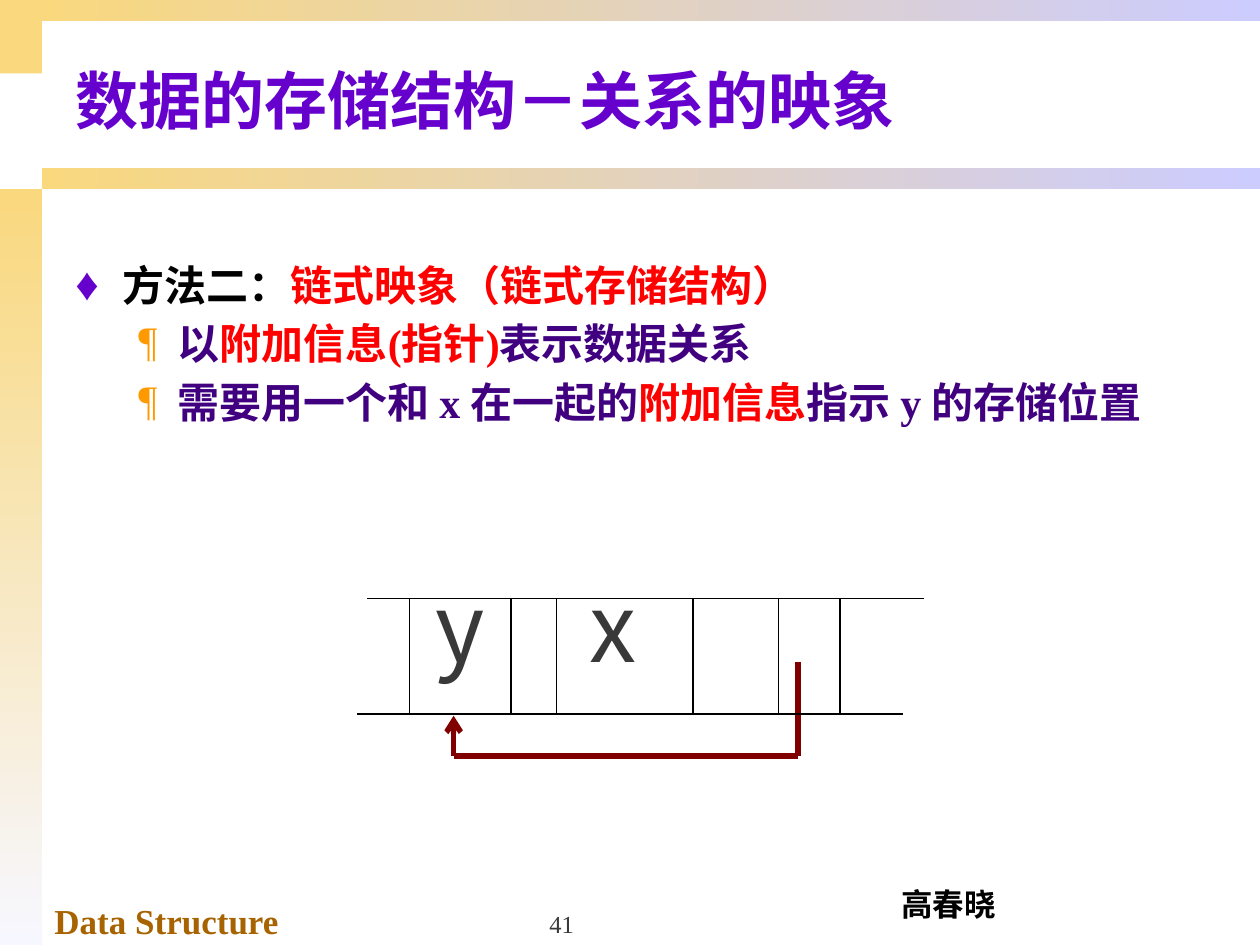
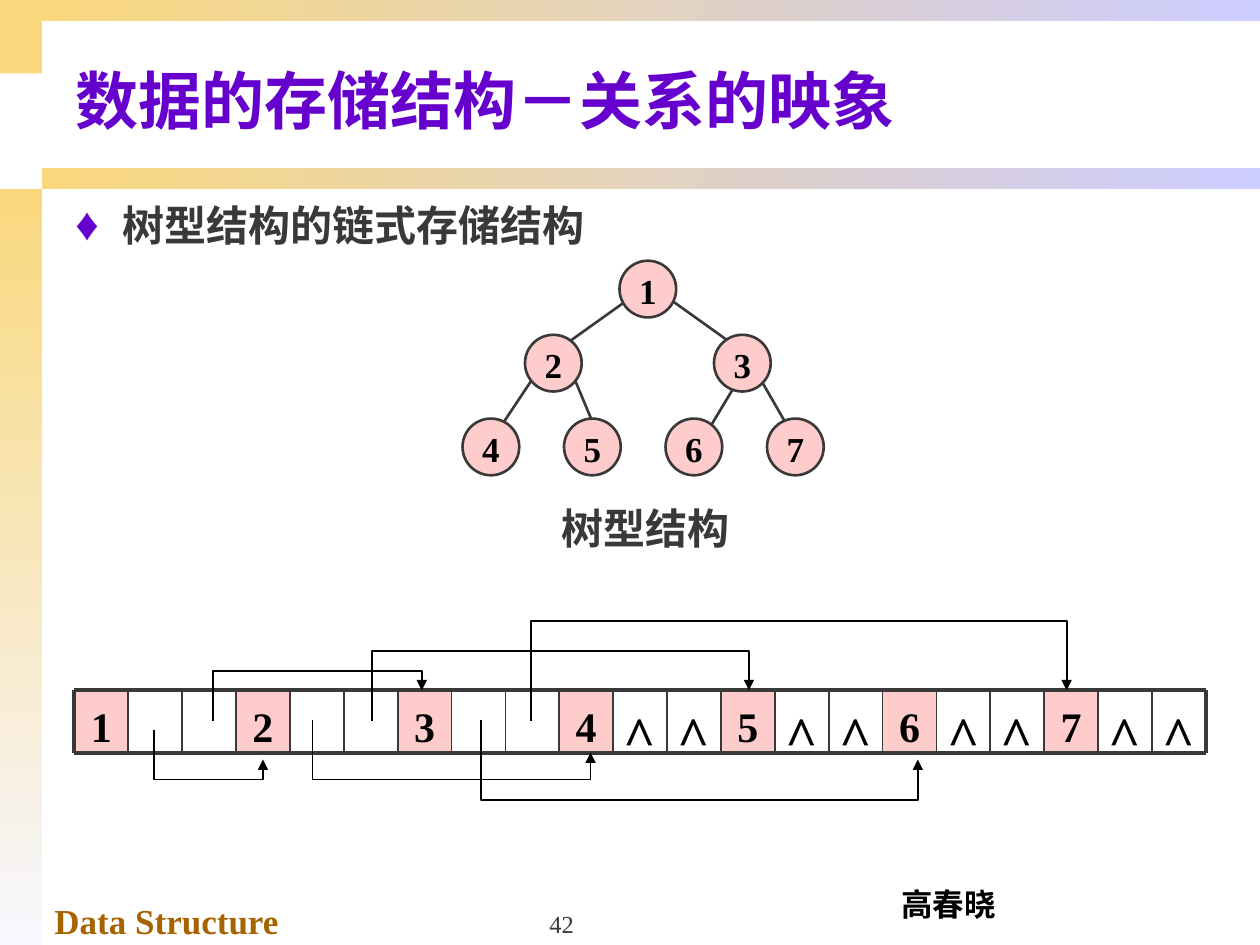
from lxml import etree
from pptx import Presentation
from pptx.dml.color import RGBColor
from pptx.enum.shapes import MSO_CONNECTOR, MSO_SHAPE
from pptx.enum.text import MSO_ANCHOR, PP_ALIGN
from pptx.oxml.ns import qn
from pptx.util import Pt

STRAIGHT = MSO_CONNECTOR.STRAIGHT
RECTANGLE, OVAL = MSO_SHAPE.RECTANGLE, MSO_SHAPE.OVAL
TOP, MIDDLE, BOTTOM = MSO_ANCHOR.TOP, MSO_ANCHOR.MIDDLE, MSO_ANCHOR.BOTTOM
LEFT, CENTER = PP_ALIGN.LEFT, PP_ALIGN.CENTER

LATIN, CHINESE = "Times New Roman", "Noto Sans CJK SC"
TITLE = "数据的存储结构－关系的映象"
COLORS = {
    "gold": "F9D87E", "pale": "F7F7FF", "lavender": "CCCCFF",
    "violet": "6600CC", "indigo": "400080", "orange": "FF9900",
    "brown": "A66300", "red": "FF0000", "maroon": "800000",
    "pink": "FFCCCC", "white": "FFFFFF", "gray": "393939", "black": "000000",
}
BULLETS = [
    {"char": "♦", "color": "violet", "percent": 110, "margin": 27, "hang": 27},
    {"char": "¶", "color": "orange", "percent": 100, "margin": 58.5, "hang": 22.5},
]
BODY_LINE = 33.4


def rgb(name):
    return RGBColor.from_string(COLORS[name])


def style(paragraph, size, color, bold=True, align=LEFT, latin=LATIN):
    paragraph.alignment = align
    font = paragraph.font
    font.size, font.bold = Pt(size), bold
    font.color.rgb = rgb(color)
    font.name = latin
    properties = paragraph._p.pPr.find(qn("a:defRPr"))
    etree.SubElement(properties, qn("a:ea"), typeface=CHINESE)


def add_text(slide, box, text, size, color, anchor=TOP, wrap=True, **font):
    shape = slide.shapes.add_textbox(*map(Pt, box))
    frame = shape.text_frame
    frame.word_wrap, frame.vertical_anchor = wrap, anchor
    frame.text = text
    style(frame.paragraphs[0], size, color, **font)
    return shape


def add_block(slide, kind, box, fill, outline=None):
    shape = slide.shapes.add_shape(kind, *map(Pt, box))
    shape.shadow.inherit = False
    shape.fill.solid()
    shape.fill.fore_color.rgb = rgb(fill)
    if outline:
        shape.line.color.rgb = rgb(outline)
        shape.line.width = Pt(1.5)
    else:
        shape.line.fill.background()
    return shape


def add_band(slide, box, end, angle):
    fill = add_block(slide, RECTANGLE, box, "gold").fill
    fill.gradient()
    fill.gradient_angle = angle
    for stop, color in zip(fill.gradient_stops, ("gold", end)):
        stop.color.rgb = rgb(color)


def add_arrowhead(shape, end, kind):
    etree.SubElement(shape._element.spPr.find(qn("a:ln")), qn(end), type=kind)


def add_line(slide, ends, color, width):
    line = slide.shapes.add_connector(STRAIGHT, *map(Pt, ends))
    line.line.color.rgb = rgb(color)
    line.line.width = Pt(width)
    etree.SubElement(line._element.spPr, qn("a:effectLst"))
    return line


def add_head_line(slide, ends, color, width):
    line = slide.shapes.add_connector(STRAIGHT, *map(Pt, ends))
    line.line.color.rgb = rgb(color)
    line.line.width = Pt(width)
    add_arrowhead(line, "a:headEnd", "arrow")
    etree.SubElement(line._element.spPr, qn("a:effectLst"))


def add_pointer(slide, start_x, start_y, turn_y, end_x, end_y):
    builder = slide.shapes.build_freeform(Pt(start_x), Pt(start_y))
    corners = [(start_x, turn_y), (end_x, turn_y), (end_x, end_y)]
    builder.add_line_segments([(Pt(x), Pt(y)) for x, y in corners], close=False)
    shape = builder.convert_to_shape()
    shape.shadow.inherit = False
    shape.fill.background()
    shape.line.color.rgb = rgb("black")
    shape.line.width = Pt(1)
    add_arrowhead(shape, "a:tailEnd", "triangle")


def add_bullet(paragraph, level):
    bullet = BULLETS[level]
    paragraph.level = level
    properties = paragraph._p.get_or_add_pPr()
    properties.set("marL", str(Pt(bullet["margin"])))
    properties.set("indent", str(-Pt(bullet["hang"])))
    color = etree.SubElement(properties, qn("a:buClr"))
    etree.SubElement(color, qn("a:srgbClr"), val=COLORS[bullet["color"]])
    etree.SubElement(properties, qn("a:buSzPct"), val=str(bullet["percent"] * 1000))
    etree.SubElement(properties, qn("a:buFont"), typeface=LATIN)
    etree.SubElement(properties, qn("a:buChar"), char=bullet["char"])


def add_body(slide, top, items):
    shape = slide.shapes.add_textbox(Pt(36), Pt(top), Pt(683), Pt(110))
    frame = shape.text_frame
    frame.word_wrap = True
    for index, (level, color, runs) in enumerate(items):
        paragraph = frame.add_paragraph() if index else frame.paragraphs[0]
        add_bullet(paragraph, level)
        paragraph.line_spacing = Pt(BODY_LINE)
        style(paragraph, 24, color)
        for text, run_color in runs:
            run = paragraph.add_run()
            run.text = text
            if run_color != color:
                run.font.color.rgb = rgb(run_color)


def add_slide(presentation, number):
    slide = presentation.slides.add_slide(presentation.slide_layouts[5])
    add_block(slide, RECTANGLE, (0, 0, 24, 42), "gold")
    add_band(slide, (0, 108, 24, 432), "pale", 270)
    for top in (0, 96):
        add_band(slide, (24, top, 696, 12), "lavender", 0)

    title = slide.shapes.title
    title.left, title.top, title.width, title.height = map(Pt, (36, 18, 684, 77))
    title.text_frame.text = TITLE
    title.text_frame.vertical_anchor = MIDDLE
    style(title.text_frame.paragraphs[0], 36, "violet")

    add_text(slide, (24, 510.5, 252, 31), "Data Structure", 20, "brown")
    add_text(slide, (507.6, 502, 69, 29), "高春晓", 18, "black",
             wrap=False, align=CENTER, latin=CHINESE)
    add_text(slide, (246, 504, 150, 36), str(number), 14, "gray",
             anchor=BOTTOM, bold=False, align=CENTER)
    return slide


def add_label(shape, text, size, anchor, margin_top):
    frame = shape.text_frame
    frame.text = text
    frame.vertical_anchor = anchor
    frame.word_wrap = False
    frame.margin_top, frame.margin_bottom = Pt(margin_top), 0
    style(frame.paragraphs[0], size, "black", align=CENTER)


def draw_linked_memory(slide):
    top, bottom = 342, 408
    for letter, left in (("y", 242), ("x", 330)):
        add_text(slide, (left, 321, 50, 72), letter, 54, "gray",
                 wrap=False, bold=False, latin=CHINESE)

    x_pointer, y_cell, turn = 456, 259.2, 432
    add_line(slide, (x_pointer, 378, x_pointer, turn), "maroon", 3)
    add_line(slide, (y_cell, turn, x_pointer, turn), "maroon", 3)
    add_head_line(slide, (y_cell, 409, y_cell, turn), "maroon", 3)

    add_line(slide, (210, top, 528, top), "black", 0.75)
    add_line(slide, (204, bottom, 516, bottom), "black", 0.75)
    for x in (234, 292, 318, 396, 445, 480):
        add_line(slide, (x, top, x, bottom), "black", 0.75)


def draw_tree(slide):
    edges = [
        (362, 169, 320, 199), (380, 169, 422, 199),
        (308, 211, 284, 247), (326, 211, 346, 259),
        (422, 217, 404, 247), (429, 207, 452, 247),
    ]
    for edge in edges:
        add_line(slide, edge, "gray", 1.5)

    nodes = [(354, 149), (300, 191.3), (408, 191.3)]
    nodes += [(264.3 + 58 * column, 239.2) for column in range(4)]
    for number, (left, top) in enumerate(nodes, 1):
        node = add_block(slide, OVAL, (left, top, 32.4, 32.4), "pink", "gray")
        add_label(node, str(number), 20, MIDDLE, 2)

    caption = add_text(slide, (292.5, 279, 147.5, 36), " 树型结构", 24, "gray",
                       align=CENTER)
    caption.text_frame.paragraphs[0].line_spacing = Pt(BODY_LINE)


def draw_memory_row(slide):
    left, top, width, height = 42.5, 394.5, 30.79, 36
    cells = [""] * 9 + ["^"] * 12
    cells[::3] = "1234567"
    right, bottom = left + width * len(cells), top + height

    for index, text in enumerate(cells):
        if text:
            fill, size = ("white", 32) if text == "^" else ("pink", 24)
            box = (left + index * width, top, width, height)
            add_label(add_block(slide, RECTANGLE, box, fill), text, size, TOP, 6)

    for y in (top, bottom):
        add_line(slide, (left, y, right, y), "gray", 2.25)
    for index in range(len(cells) + 1):
        x = left + index * width
        weight = 2.25 if index in (0, len(cells)) else 1
        add_line(slide, (x, top, x, bottom), "gray", weight)

    pointers = [
        (88, 417, 445.5, 150.3, 434), (121.7, 412, 383.3, 241, top),
        (178.5, 411.5, 445.5, 337.5, 430), (212.5, 412, 372, 428, top),
        (275, 411.5, 457, 524.5, 434), (303.4, 412, 355, 609.5, top),
    ]
    for pointer in pointers:
        add_pointer(slide, *pointer)


def main():
    presentation = Presentation()
    presentation.slide_width, presentation.slide_height = Pt(720), Pt(540)

    slide = add_slide(presentation, 41)
    add_body(slide, 140, [
        (0, "black", [("方法二：", "black"), ("链式映象（链式存储结构）", "red")]),
        (1, "indigo", [("以", "indigo"), ("附加信息(指针)", "red"),
                       ("表示数据关系", "indigo")]),
        (1, "indigo", [("需要用一个和 x 在一起的", "indigo"), ("附加信息", "red"),
                       ("指示 y 的存储位置", "indigo")]),
    ])
    draw_linked_memory(slide)

    slide = add_slide(presentation, 42)
    add_body(slide, 106, [(0, "gray", [("树型结构的链式存储结构", "gray")])])
    draw_tree(slide)
    draw_memory_row(slide)

    presentation.save("out.pptx")


if __name__ == "__main__":
    main()
